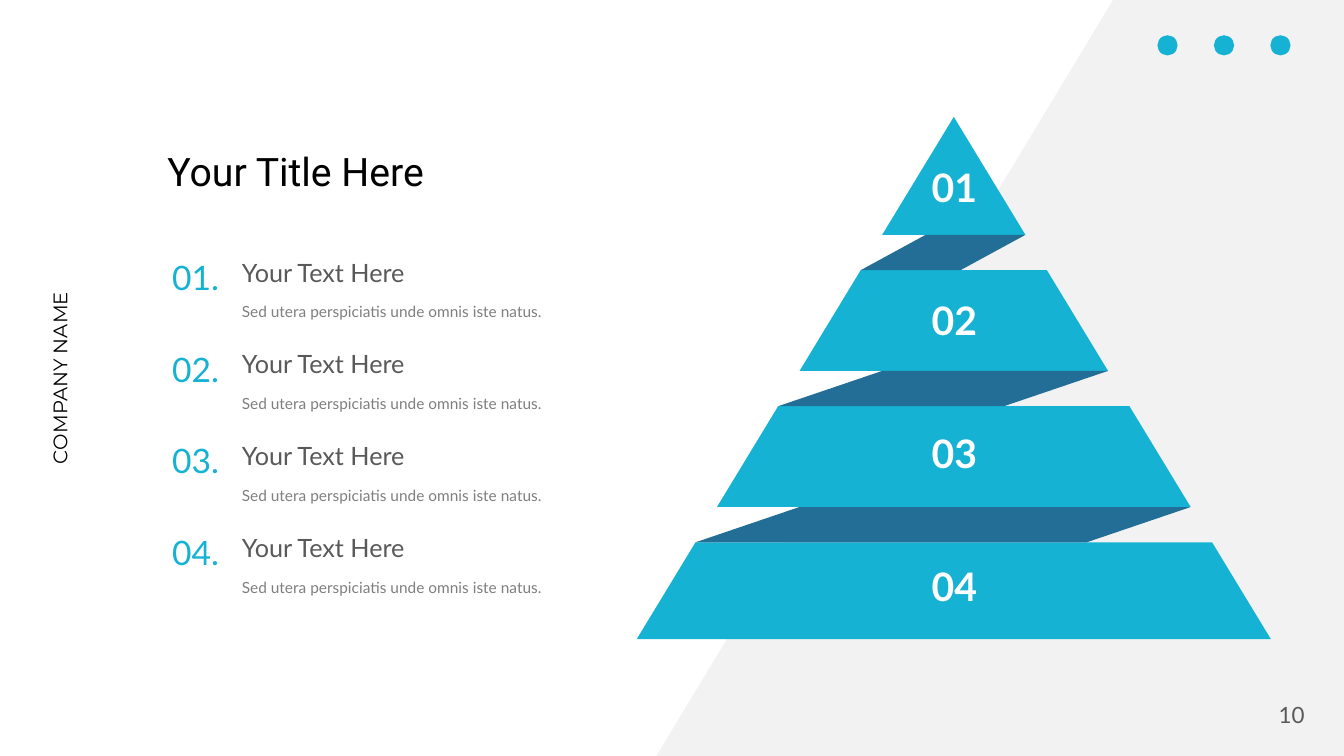
"""Build a slide with a four-step ribbon pyramid and a numbered list."""
from pptx import Presentation
from pptx.dml.color import RGBColor
from pptx.enum.shapes import MSO_SHAPE as Shape
from pptx.enum.text import MSO_ANCHOR as Anchor, MSO_AUTO_SIZE as Fit, PP_ALIGN as Align
from pptx.util import Inches, Pt

CYAN, NAVY, PALE = "15B2D3", "236E96", "F2F2F2"
DARK, GRAY, BLACK, WHITE = "595959", "7F7F7F", "000000", "FFFFFF"
MID, APEX, SLOPE = 9.46, 1.16, 0.607
BANDS = [(1.16, 2.33), (2.68, 3.68), (4.03, 5.03), (5.38, 6.34)]
FOLDS = [0.99, 2.24, 3.88]


def color(text):
    return RGBColor.from_string(text)


class Deck:
    def __init__(self, font):
        self.font = font
        self.prs = Presentation()
        self.prs.slide_width, self.prs.slide_height = Inches(13.33), Inches(7.5)
        self.slide = self.prs.slides.add_slide(self.prs.slide_layouts[5])
        self.shapes = self.slide.shapes

    def paint(self, shape, fill):
        shape.shadow.inherit = False
        shape.fill.solid()
        shape.fill.fore_color.rgb = color(fill)
        shape.line.fill.background()

    def poly(self, points, fill):
        first, *rest = [(Inches(x), Inches(y)) for x, y in points]
        outline = self.shapes.build_freeform(*first)
        outline.add_line_segments(rest, close=True)
        self.paint(outline.convert_to_shape(), fill)

    def dot(self, x, y, size, fill):
        box = [Inches(n) for n in (x, y, size, size)]
        self.paint(self.shapes.add_shape(Shape.OVAL, *box), fill)

    def label(self, shape, text, size, ink, align, font=None, bold=False, space=1.0,
              anchor=Anchor.TOP):
        frame = shape.text_frame
        frame.text = text
        frame.word_wrap = True
        frame.auto_size = Fit.NONE
        frame.vertical_anchor = anchor
        para = frame.paragraphs[0]
        para.alignment, para.line_spacing = align, space
        para.font.name, para.font.size = font or self.font, Pt(size)
        para.font.bold, para.font.color.rgb = bold, color(ink)

    def text(self, box, text, size, ink, align=Align.LEFT, turn=0, **style):
        shape = self.shapes.add_textbox(*[Inches(n) for n in box])
        shape.rotation = turn
        self.label(shape, text, size, ink, align, **style)

    def title(self, box, text, size, ink, font):
        shape = self.shapes.title
        shape.left, shape.top, shape.width, shape.height = [Inches(n) for n in box]
        self.label(shape, text, size, ink, Align.LEFT, font=font)


def edges(y):
    half = SLOPE * (y - APEX)
    return MID - half, MID + half


def main():
    deck = Deck("Lato")
    deck.poly([(11.04, 0), (13.33, 0), (13.33, 7.5), (6.51, 7.5)], PALE)
    deck.text((11.31, 6.89, 3, 0.4), "10", 16, DARK, Align.CENTER, anchor=Anchor.MIDDLE)
    deck.title((1.56, 1.41, 4.63, 0.57), "Your Title Here", 28, BLACK, "Roboto")
    deck.text((-0.95, 3.58, 3.09, 0.34), "COMPANY NAME", 14, BLACK, Align.CENTER,
              turn=270, font="Montserrat")

    for top, base in BANDS:
        (left, right), (low, high) = edges(top), edges(base)
        peak = [(left, top)] if top == APEX else [(right, top), (left, top)]
        deck.poly(peak + [(low, base), (high, base)], CYAN)
    for (_, top), (base, _), wide in zip(BANDS, BANDS[1:], FOLDS):
        left, right = edges(base)[0], edges(top)[1]
        deck.poly([(right - wide, top), (left, base), (left + wide, base), (right, top)], NAVY)

    for i in range(4):
        y, mark = 2.5 + 0.91 * i, f"{i + 1:02}"
        deck.text((1.42, y, 0.85, 0.5), mark + ".", 24, CYAN, Align.RIGHT)
        deck.text((2.3, y, 2.71, 0.4), "Your Text Here", 18, DARK)
        deck.text((2.3, y + 0.36, 3.52, 0.34), "Sed utera perspiciatis unde omnis iste natus.",
                  11, GRAY, Align.JUSTIFY, space=1.5)
        deck.text((8.9, 1.57 + 1.32 * i, 1.13, 0.57), mark, 28, WHITE, Align.CENTER, bold=True)

    for i in range(3):
        deck.dot(11.48 + 0.56 * i, 0.35, 0.2, CYAN)
    deck.prs.save("out.pptx")


if __name__ == "__main__":
    main()
